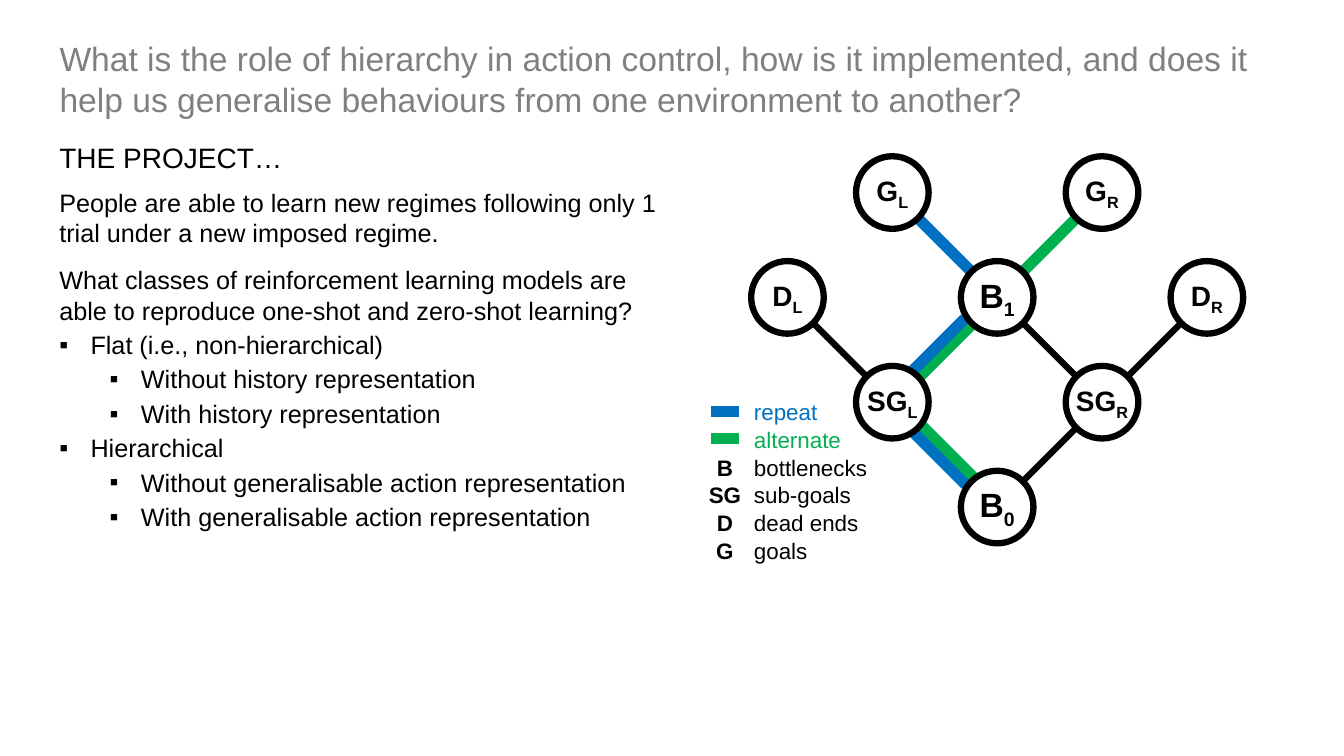
from lxml.etree import SubElement
from pptx import Presentation
from pptx.dml.color import RGBColor
from pptx.enum.shapes import MSO_CONNECTOR, MSO_SHAPE
from pptx.enum.text import MSO_ANCHOR, MSO_AUTO_SIZE, PP_ALIGN
from pptx.oxml.ns import qn
from pptx.util import Inches, Pt

FONT = "Arial"
BLACK = RGBColor(0, 0, 0)
WHITE = RGBColor(255, 255, 255)
GRAY = RGBColor(0x80, 0x80, 0x80)
BLUE = RGBColor(0x00, 0x70, 0xC0)
GREEN = RGBColor(0x00, 0xB0, 0x50)

MARGIN = 0.49
GRID_LEFT, GRID_TOP, GRID_STEP = 7.81, 1.91, 1.04
DIAMETER = 0.72
PATH_WIDTH, LINE_WIDTH = 8, 4.5
LEGEND_TOP, LEGEND_STEP, LEGEND_HEIGHT = 4.08, 0.274, 0.37
KEY_CENTER, KEY_WIDTH, LABEL_LEFT = 7.19, 0.53, 7.38

TITLE = ("What is the role of hierarchy in action control, how is it implemented, "
         "and does it help us generalise behaviours from one environment to another?")

BODY = [
    ("People are able to learn new regimes following only 1 trial under a new imposed regime.", None, 12),
    ("What classes of reinforcement learning models are able to reproduce "
     "one-shot and zero-shot learning?", None, 3),
    ("Flat (i.e., non-hierarchical)", 0, 3),
    ("Without history representation", 1, 3),
    ("With history representation", 1, 3),
    ("Hierarchical", 0, 3),
    ("Without generalisable action representation", 1, 3),
    ("With generalisable action representation", 1, 3),
]

NODES = {
    "GL": (1, 0, 20), "GR": (3, 0, 20),
    "DL": (0, 1, 20), "B1": (2, 1, 24), "DR": (4, 1, 20),
    "SGL": (1, 2, 20), "SGR": (3, 2, 20),
    "B0": (2, 3, 24),
}

EDGES = [
    ("SGL", "B0", GREEN, PATH_WIDTH, (0.03, -0.03)),
    ("SGL", "B1", GREEN, PATH_WIDTH, (0.01, 0.01)),
    ("SGR", "B0", BLACK, LINE_WIDTH, (0, 0)),
    ("SGR", "B1", BLACK, LINE_WIDTH, (0, 0)),
    ("GL", "B1", BLUE, PATH_WIDTH, (0, 0)),
    ("GR", "B1", GREEN, PATH_WIDTH, (0, 0)),
    ("SGL", "B1", BLUE, PATH_WIDTH, (-0.06, -0.05)),
    ("SGL", "B0", BLUE, PATH_WIDTH, (-0.05, 0.04)),
    ("DR", "SGR", BLACK, LINE_WIDTH, (0, 0)),
    ("DL", "SGL", BLACK, LINE_WIDTH, (0, 0)),
]

LEGEND = [
    ("", "repeat", BLUE),
    ("", "alternate", GREEN),
    ("B", "bottlenecks", BLACK),
    ("SG", "sub-goals", BLACK),
    ("D", "dead ends", BLACK),
    ("G", "goals", BLACK),
]


def style(paragraph, size, color=BLACK, bold=False, alignment=PP_ALIGN.LEFT):
    font = paragraph.font
    font.name, font.size, font.bold = FONT, Pt(size), bold
    font.color.rgb = color
    paragraph.alignment = alignment


def add_text(slide, text, left, top, width, height, size, **look):
    frame = slide.shapes.add_textbox(Inches(left), Inches(top), Inches(width), Inches(height)).text_frame
    frame.word_wrap = True
    frame.text = text
    style(frame.paragraphs[0], size, **look)
    return frame


def add_title(slide):
    title = slide.shapes.title
    title.left, title.top, title.width, title.height = map(Inches, (MARGIN, 0.33, 12.35, 0.91))
    frame = title.text_frame
    frame.text = TITLE
    frame.auto_size = MSO_AUTO_SIZE.NONE
    frame.vertical_anchor = MSO_ANCHOR.TOP
    style(frame.paragraphs[0], 24, GRAY)


def add_bullet(paragraph, level):
    paragraph.level = level
    properties = paragraph._p.get_or_add_pPr()
    properties.set("marL", str(Inches(0.31 + 0.5 * level)))
    properties.set("indent", str(Inches(-0.31)))
    SubElement(properties, qn("a:buFont")).set("typeface", FONT)
    SubElement(properties, qn("a:buChar")).set("char", "▪")


def add_body(slide):
    frame = add_text(slide, "", MARGIN, 1.81, 6.34, 3.55, 18)
    for index, (text, level, space_after) in enumerate(BODY):
        paragraph = frame.add_paragraph() if index else frame.paragraphs[0]
        paragraph.text = text
        style(paragraph, 18)
        paragraph.space_after = Pt(space_after)
        if level is not None:
            add_bullet(paragraph, level)


def add_line(slide, start, end, color, width):
    line = slide.shapes.add_connector(
        MSO_CONNECTOR.STRAIGHT, *(Inches(value) for value in (*start, *end)))
    line.line.color.rgb = color
    line.line.width = Pt(width)
    SubElement(line._element.spPr, qn("a:effectLst"))


def node_center(name):
    column, row, _ = NODES[name]
    return GRID_LEFT + column * GRID_STEP, GRID_TOP + row * GRID_STEP


def add_edge(slide, first, second, color, width, offset):
    ends = list(zip(node_center(first), node_center(second), offset))
    start, end = ([a + share * (b - a) + shift for a, b, shift in ends] for share in (0.25, 0.75))
    add_line(slide, start, end, color, width)


def add_node(slide, name):
    x, y = node_center(name)
    circle = slide.shapes.add_shape(
        MSO_SHAPE.OVAL, Inches(x - DIAMETER / 2), Inches(y - DIAMETER / 2),
        Inches(DIAMETER), Inches(DIAMETER))
    circle.shadow.inherit = False
    circle.fill.solid()
    circle.fill.fore_color.rgb = WHITE
    circle.line.color.rgb = BLACK
    circle.line.width = Pt(LINE_WIDTH)
    frame = circle.text_frame
    frame.word_wrap = False
    frame.margin_left = frame.margin_right = frame.margin_top = frame.margin_bottom = 0
    frame.vertical_anchor = MSO_ANCHOR.MIDDLE
    paragraph = frame.paragraphs[0]
    style(paragraph, NODES[name][2], bold=True, alignment=PP_ALIGN.CENTER)
    paragraph.add_run().text = name[:-1]
    subscript = paragraph.add_run()
    subscript.text = name[-1]
    subscript.font._element.set("baseline", "-25000")


def add_legend_row(slide, row, key, label, color):
    y = LEGEND_TOP + row * LEGEND_STEP
    top = y - LEGEND_HEIGHT / 2 + 0.01
    if key:
        add_text(slide, key, KEY_CENTER - KEY_WIDTH / 2, top, KEY_WIDTH, LEGEND_HEIGHT, 16,
                 bold=True, alignment=PP_ALIGN.CENTER)
    else:
        add_line(slide, (KEY_CENTER + 0.14, y), (KEY_CENTER - 0.14, y), color, PATH_WIDTH)
    add_text(slide, label, LABEL_LEFT, top, 1.34, LEGEND_HEIGHT, 16, color=color)


def main():
    presentation = Presentation()
    presentation.slide_width, presentation.slide_height = Inches(13.33), Inches(7.5)
    slide = presentation.slides.add_slide(presentation.slide_layouts[5])
    add_title(slide)
    add_text(slide, "THE PROJECT…", MARGIN, 1.34, 3.65, 0.44, 20)
    add_body(slide)
    for edge in EDGES:
        add_edge(slide, *edge)
    for name in NODES:
        add_node(slide, name)
    for row, entry in enumerate(LEGEND):
        add_legend_row(slide, row, *entry)
    presentation.save("out.pptx")


if __name__ == "__main__":
    main()
